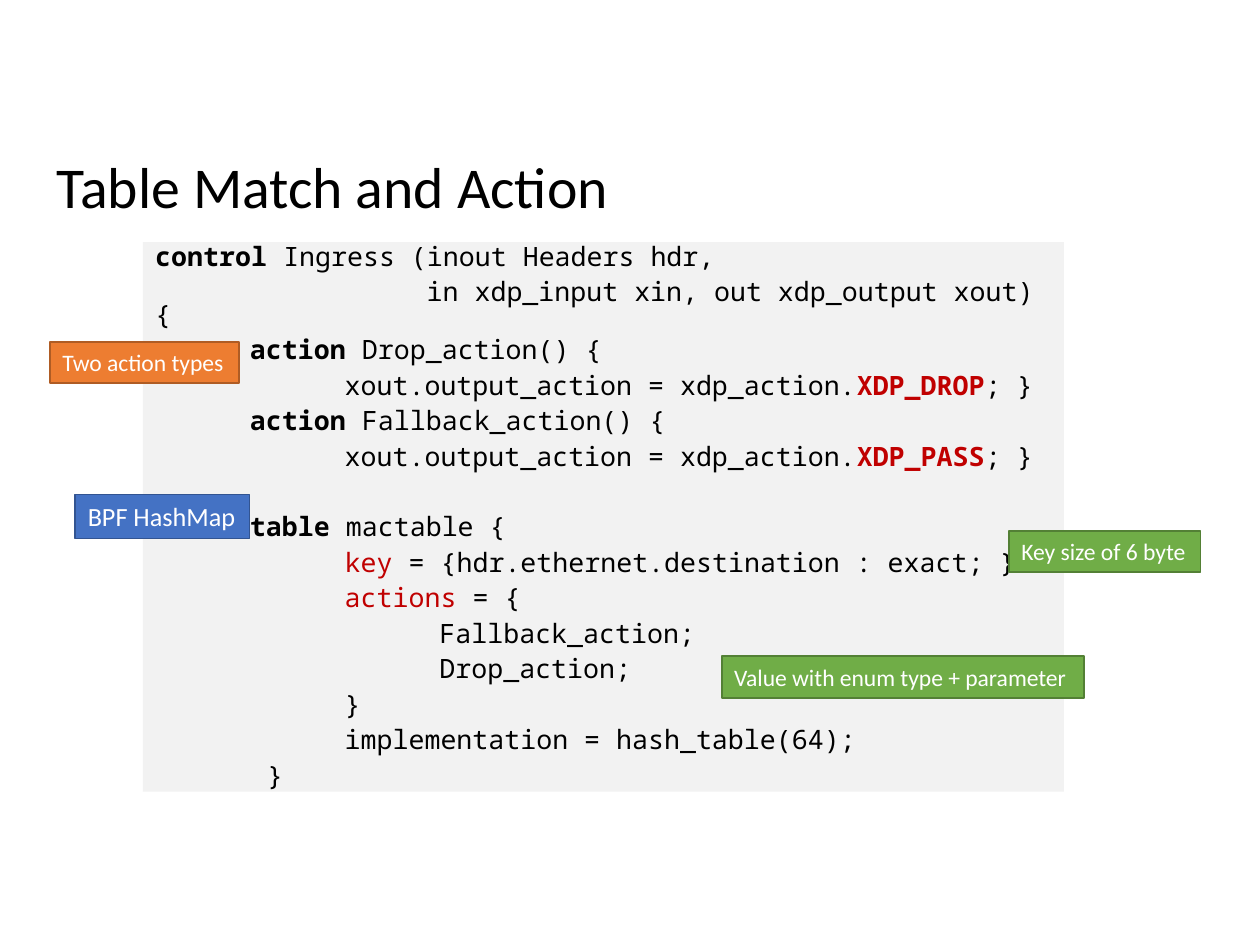
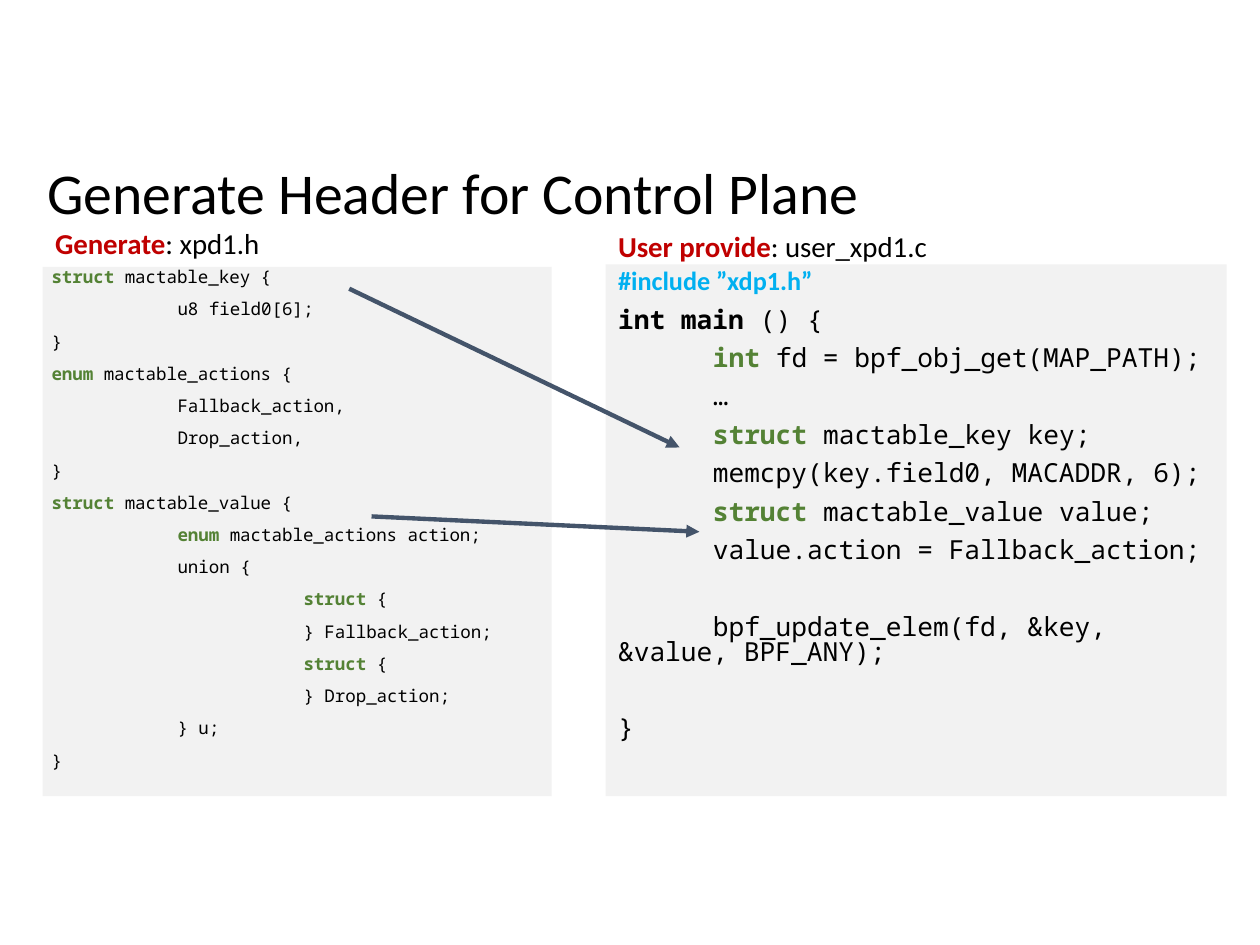
from dataclasses import dataclass
from typing import NamedTuple

from lxml import etree
from pptx import Presentation
from pptx.dml.color import RGBColor
from pptx.enum.shapes import MSO_CONNECTOR, MSO_SHAPE
from pptx.enum.text import MSO_ANCHOR, MSO_AUTO_SIZE, PP_ALIGN
from pptx.oxml.ns import qn
from pptx.util import Cm, Pt

RECTANGLE = MSO_SHAPE.RECTANGLE
STRAIGHT = MSO_CONNECTOR.STRAIGHT
TOP, MIDDLE = MSO_ANCHOR.TOP, MSO_ANCHOR.MIDDLE
LEFT = PP_ALIGN.LEFT
FIT_SHAPE, NO_FIT = MSO_AUTO_SIZE.SHAPE_TO_FIT_TEXT, MSO_AUTO_SIZE.NONE

SANS, MONO = "Calibri", "Noto Sans Mono"
MONO_LINE_HEIGHT = 1.2
BLACK, WHITE, PANEL = "000000", "FFFFFF", "F2F2F2"
RED, GREEN, SKY, SLATE = "C00000", "548235", "00B0F0", "44546A"
BLUE_BOX, GREEN_BOX, ORANGE_BOX = ("4472C4", "325491"), ("70AD47", "538035"), ("ED7D31", "AF5C24")


class Box(NamedTuple):
    left: float
    top: float
    width: float
    height: float


class Run(NamedTuple):
    text: str
    color: str = BLACK
    bold: bool = False
    font: str = MONO


Line = tuple[Run, ...]


@dataclass(frozen=True)
class CodePanel:
    box: Box
    lines: list[Line]
    size: float
    before: float = 7.5
    tab: float = 1.91
    spacing: float = 0.7
    inset: tuple[float, float] = (0.25, 0.13)


@dataclass(frozen=True)
class Label:
    text: str
    box: Box
    colors: tuple[str, str]
    size: float = 13.5


@dataclass(frozen=True)
class Caption:
    key: str
    file: str
    box: Box


@dataclass(frozen=True)
class Arrow:
    start: tuple[float, float]
    end: tuple[float, float]


def plain(text: str) -> Run:
    return Run(text)


def bold(text: str) -> Run:
    return Run(text, bold=True)


def red(text: str) -> Run:
    return Run(text, RED)


def green(text: str) -> Run:
    return Run(text, GREEN, True)


def output_action(name: str) -> Line:
    return (plain("\t\txout.output_action = xdp_action."), Run(name, RED, True), plain("; }"))


INGRESS = CodePanel(Box(2.88, 4.88, 18.57, 11.08), [
    (bold("control "), plain("Ingress (inout Headers hdr,")),
    (plain("                 in xdp_input xin, out xdp_output xout) {"),),
    (plain("\t"), bold("action "), plain("Drop_action() {")),
    output_action("XDP_DROP"),
    (plain("\t"), bold("action "), plain("Fallback_action() {")),
    output_action("XDP_PASS"),
    (),
    (bold("\ttable "), plain("mactable {")),
    (plain("\t\t"), red("key"), plain(" = {hdr.ethernet.destination : exact; }")),
    (plain("\t\t"), red("actions"), plain(" = {")),
    (plain("\t\t\tFallback_action;"),),
    (plain("\t\t\tDrop_action;"),),
    (plain("\t\t}"),),
    (plain("\t\timplementation = hash_table(64);"),),
    (plain("       }"),),
], size=15.2)

LABELS = [
    Label("BPF HashMap", Box(1.52, 9.97, 3.51, 0.89), BLUE_BOX, 15),
    Label("Key size of 6 byte", Box(20.34, 10.7, 3.86, 0.84), GREEN_BOX),
    Label("Value with enum type + parameter", Box(14.55, 13.23, 7.31, 0.84), GREEN_BOX),
    Label("Two action types", Box(1.01, 6.89, 3.81, 0.84), ORANGE_BOX),
]

USER_PROGRAM = CodePanel(Box(12.21, 5.33, 12.52, 10.72), [
    (Run("#include ”xdp1.h”", SKY, True, SANS),),
    (bold("int main "), plain("() {")),
    (plain("\t"), green("int "), plain("fd = bpf_obj_get(MAP_PATH);")),
    (plain("\t…"),),
    (plain("\t"), green("struct "), plain("mactable_key key;")),
    (plain("\tmemcpy(key.field0, MACADDR, 6);"),),
    (plain("\t"), green("struct "), plain("mactable_value value;")),
    (plain("\tvalue.action = Fallback_action;"),),
    (),
    (plain("\tbpf_update_elem(fd, &key, &value, BPF_ANY);"),),
    (),
    (plain("}"),),
], size=15, spacing=0.8)

GENERATED_HEADER = CodePanel(Box(0.86, 5.38, 10.26, 10.67), [
    (green("struct "), plain("mactable_key {")),
    (plain("\tu8 field0[6];"),),
    (plain("}"),),
    (green("enum "), plain("mactable_actions {")),
    (plain("\tFallback_action,"),),
    (plain("\tDrop_action,"),),
    (plain("}"),),
    (green("struct "), plain("mactable_value {")),
    (plain("\t"), green("enum "), plain("mactable_actions action;")),
    (plain("\tunion {"),),
    (plain("\t\t"), green("struct "), plain("{")),
    (plain("\t\t} Fallback_action;"),),
    (plain("\t\t"), green("struct "), plain("{")),
    (plain("\t\t} Drop_action;"),),
    (plain("\t} u;"),),
    (plain("}"),),
], size=10, before=10, tab=2.54, inset=(0.18, 0.1))

CAPTIONS = [
    Caption("Generate", "xpd1.h", Box(0.86, 4.42, 4.67, 0.97)),
    Caption("User provide", "user_xpd1.c", Box(12.21, 4.48, 6.81, 0.97)),
]

ARROWS = [
    Arrow((7.04, 5.82), (13.7, 9.02)),
    Arrow((7.49, 10.41), (14.1, 10.72)),
]


def rgb(color: str) -> RGBColor:
    return RGBColor.from_string(color)


def add_runs(p, runs: Line, size: float) -> None:
    p.alignment = LEFT
    for run in runs:
        r = p.add_run()
        r.text = run.text
        r.font.name = run.font
        r.font.size = Pt(size)
        r.font.bold = run.bold
        r.font.color.rgb = rgb(run.color)


def set_frame(tf, wrap: bool, anchor=TOP):
    """Set wrapping and anchor; a frame that does not wrap grows with its text."""
    tf.word_wrap = wrap
    tf.auto_size = NO_FIT if wrap else FIT_SHAPE
    tf.vertical_anchor = anchor
    return tf


def add_textbox(s, box: Box, runs: Line, size: float, wrap: bool, anchor=TOP):
    sp = s.shapes.add_textbox(*map(Cm, box))
    p = set_frame(sp.text_frame, wrap, anchor).paragraphs[0]
    add_runs(p, runs, size)
    return p


def add_rectangle(s, box: Box, fill: str):
    sp = s.shapes.add_shape(RECTANGLE, *map(Cm, box))
    sp.shadow.inherit = False
    sp.fill.solid()
    sp.fill.fore_color.rgb = rgb(fill)
    sp.line.fill.background()
    return sp


def add_tab_stops(p, step: float, count: int) -> None:
    tabs = etree.SubElement(p._p.get_or_add_pPr(), qn("a:tabLst"))
    for i in range(1, count + 1):
        etree.SubElement(tabs, qn("a:tab"), pos=str(Cm(step * i)), algn="l")


def add_code(s, panel: CodePanel) -> None:
    """Draw a code panel; an empty line becomes extra space before the next one."""
    tf = set_frame(add_rectangle(s, panel.box, PANEL).text_frame, True)
    tf.margin_left = tf.margin_right = Cm(panel.inset[0])
    tf.margin_top = tf.margin_bottom = Cm(panel.inset[1])
    pitch = panel.size * MONO_LINE_HEIGHT * panel.spacing + panel.before
    before = 0.0
    p = tf.paragraphs[0]
    for i, line in enumerate(panel.lines):
        if not line:
            before += pitch
            continue
        if i:
            p = tf.add_paragraph()
        add_tab_stops(p, panel.tab, 3)
        p.line_spacing = panel.spacing
        p.space_before = Pt(round(before, 1))
        add_runs(p, line, panel.size)
        before = panel.before


def add_label(s, label: Label) -> None:
    fill, outline = label.colors
    sp = add_rectangle(s, label.box, fill)
    sp.line.color.rgb = rgb(outline)
    sp.line.width = Pt(1)
    p = set_frame(sp.text_frame, False).paragraphs[0]
    add_runs(p, (Run(label.text, WHITE, font=SANS),), label.size)


def add_caption(s, caption: Caption) -> None:
    runs = (Run(caption.key, RED, True, SANS), Run(f": {caption.file}", font=SANS))
    add_textbox(s, caption.box, runs, 16.5, wrap=False)


def add_arrow(s, arrow: Arrow) -> None:
    c = s.shapes.add_connector(STRAIGHT, *map(Cm, arrow.start + arrow.end))
    c.line.color.rgb = rgb(SLATE)
    c.line.width = Pt(2.5)
    etree.SubElement(c.line._get_or_add_ln(), qn("a:tailEnd"), type="triangle")
    etree.SubElement(c._element.spPr, qn("a:effectLst"))


def add_titled_slide(prs, title: str, left: float, top: float):
    s = prs.slides.add_slide(prs.slide_layouts[6])
    box = Box(left, top, 17.15, 1.73)
    p = add_textbox(s, box, (Run(title, font=SANS),), 33, wrap=True, anchor=MIDDLE)
    p.line_spacing = 0.9
    return s


def main() -> None:
    prs = Presentation()
    prs.slide_width, prs.slide_height = Cm(25.4), Cm(19.05)

    s = add_titled_slide(prs, "Table Match and Action", 0.89, 2.96)
    add_code(s, INGRESS)
    for label in LABELS:
        add_label(s, label)

    s = add_titled_slide(prs, "Generate Header for Control Plane", 0.71, 3.08)
    for panel in (USER_PROGRAM, GENERATED_HEADER):
        add_code(s, panel)
    for caption in CAPTIONS:
        add_caption(s, caption)
    for arrow in ARROWS:
        add_arrow(s, arrow)

    prs.save("out.pptx")


if __name__ == "__main__":
    main()
